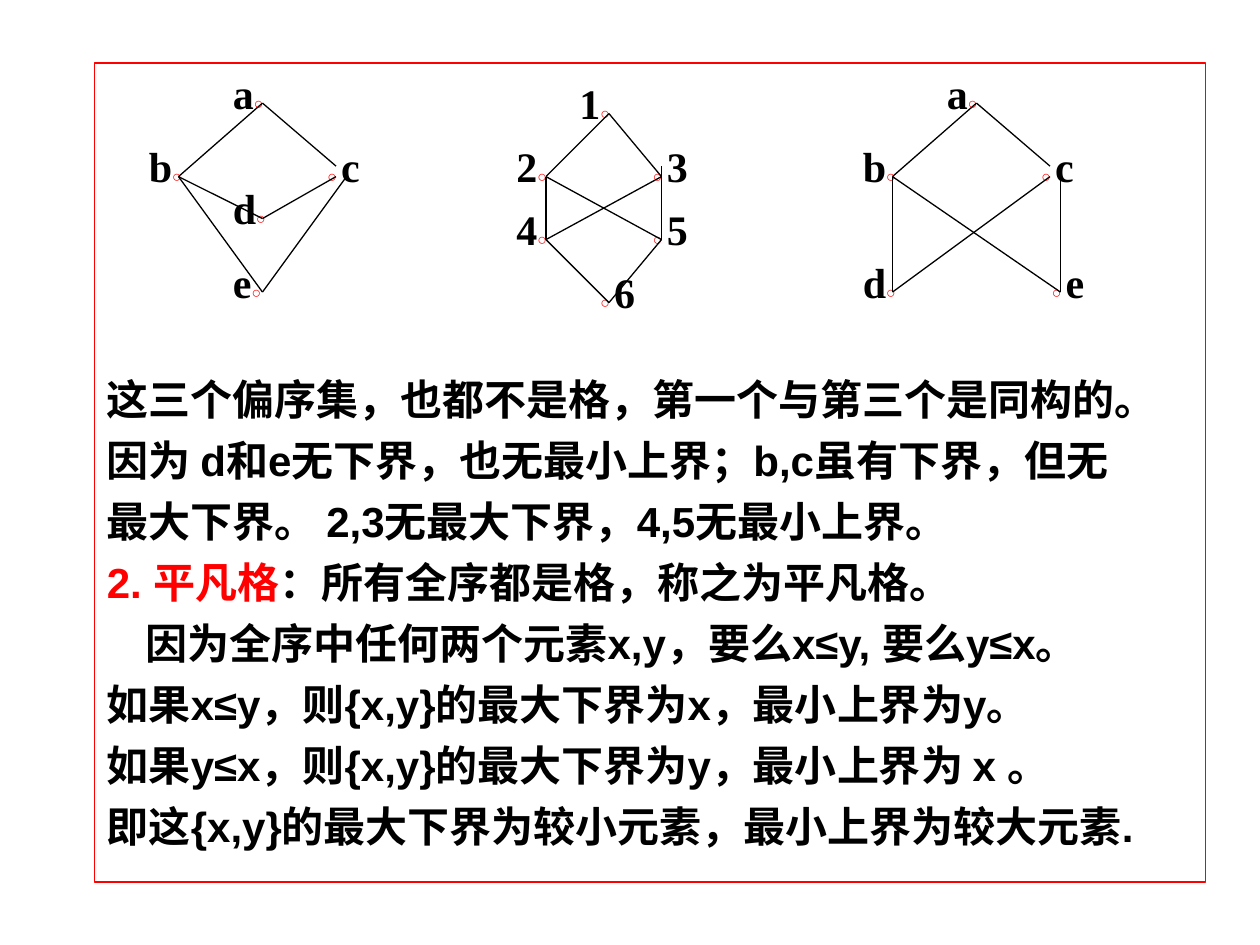
from dataclasses import dataclass
from lxml import etree
from pptx import Presentation
from pptx.dml.color import RGBColor
from pptx.enum.shapes import MSO_CONNECTOR, MSO_SHAPE
from pptx.enum.text import MSO_ANCHOR, MSO_AUTO_SIZE, PP_ALIGN
from pptx.oxml.ns import qn
from pptx.util import Inches, Pt

RECT = MSO_SHAPE.RECTANGLE
LINE = MSO_CONNECTOR.STRAIGHT
TOP = MSO_ANCHOR.TOP
LEFT = PP_ALIGN.LEFT
GROW = MSO_AUTO_SIZE.SHAPE_TO_FIT_TEXT


@dataclass(frozen=True)
class Theme:
    ink: RGBColor = RGBColor(0, 0, 0)
    red: RGBColor = RGBColor(255, 0, 0)
    sans: str = "Arial"
    serif: str = "Times New Roman"
    big: Pt = Pt(24)
    small: Pt = Pt(9)
    rule: Pt = Pt(0.75)
    gap: Pt = Pt(6)


def apply(item, values):
    for key, value in values.items():
        setattr(item, key, value)


def grid(*cells):
    return [Inches(cell / 12) for cell in cells]


class Board:
    def __init__(self, slide, theme):
        self.slide = slide
        self.theme = theme

    def words(self, para, text, color, size, face):
        run = para.add_run()
        run.text = text
        apply(run.font, {"size": size, "name": face, "bold": True})
        run.font.color.rgb = color

    def panel(self, col, row, wide, high, inset, lines):
        look = self.theme
        box = self.slide.shapes.add_shape(RECT, *grid(col, row, wide, high))
        box.shadow.inherit = False
        box.fill.background()
        box.line.color.rgb = look.red
        box.line.width = look.rule
        frame = box.text_frame
        apply(frame, {"word_wrap": True, "vertical_anchor": TOP,
                      "margin_top": grid(inset)[0]})
        for i, (indent, parts) in enumerate(lines):
            para = frame.add_paragraph() if i else frame.paragraphs[0]
            apply(para, {"alignment": LEFT, "space_before": look.gap if i else Pt(0)})
            if indent:
                para._p.get_or_add_pPr().set("marL", str(grid(indent)[0]))
            for text, color in parts:
                self.words(para, text, color, look.big, look.sans)

    def label(self, group, name, col, row, side):
        look = self.theme
        shift = 4 if side == "left" else 2
        box = group.shapes.add_textbox(*grid(col - shift, row - 4, 6.5, 6))
        apply(box.text_frame, {"word_wrap": True, "auto_size": GROW})
        para = box.text_frame.paragraphs[0]
        word = (name, look.ink, look.big, look.serif)
        ring = ("○" if side == "left" else "○ ", look.red, look.small, look.sans)
        for part in (word, ring) if side == "left" else (ring, word):
            self.words(para, *part)

    def edge(self, group, start, end):
        line = group.shapes.add_connector(LINE, *grid(*start, *end))
        line.line.color.rgb = self.theme.ink
        line.line.width = self.theme.rule
        etree.SubElement(line._element.spPr, qn("a:effectLst"))

    def graph(self, left, nodes, edges, bends):
        group = self.slide.shapes.add_group_shape()
        spots = {}
        for name, (col, row, side) in nodes.items():
            spots[name] = (left + col, row - LIFT)
            self.label(group, name, *spots[name], side)
        for pair in edges.split():
            ends = [spots[name] for name in pair]
            for i, (across, down) in bends.get(pair, {}).items():
                ends[i] = (ends[i][0] + across, ends[i][1] + down)
            self.edge(group, *ends)


LIFT = 0.18
BENDS = {"ac": {1: (0, -1)}, "ce": {0: (1, 0)}}
GRAPHS = [
    (17,
     {"d": (8, 21, "left"), "a": (8, 10, "left"), "b": (0, 17, "left"),
      "c": (15, 17, "right"), "e": (8, 28, "left")},
     "ab bd ac cd ce be", BENDS),
    (52,
     {"1": (6, 11, "left"), "2": (0, 17, "left"), "3": (11, 17, "right"),
      "4": (0, 23, "left"), "5": (11, 23, "right"), "6": (6, 29, "right")},
     "12 13 35 24 46 56 34 25", {"35": {0: (0, -1)}}),
    (85,
     {"d": (0, 28, "left"), "a": (8, 10, "left"), "b": (0, 17, "left"),
      "c": (15, 17, "right"), "e": (16, 28, "right")},
     "ab bd ac cd ce be", BENDS),
]


def main():
    deck = Presentation()
    deck.slide_width, deck.slide_height = Inches(10), Inches(7.5)
    look = Theme()
    board = Board(deck.slides.add_slide(deck.slide_layouts[6]), look)
    ink = look.ink
    lines = [
        (0, [("这三个偏序集，也都不是格，第一个与第三个是同构的。", ink)]),
        (0, [("因为 d和e无下界，也无最小上界；b,c虽有下界，但无", ink)]),
        (0, [("最大下界。 2,3无最大下界，4,5无最小上界。", ink)]),
        (0, [("2. 平凡格", look.red), ("：所有全序都是格，称之为平凡格。", ink)]),
        (3.7, [("因为全序中任何两个元素x,y，要么x≤y, 要么y≤x。", ink)]),
        (0, [("如果x≤y，则{x,y}的最大下界为x，最小上界为y。", ink)]),
        (0, [("如果y≤x，则{x,y}的最大下界为y，最小上界为 x 。", ink)]),
        (0, [("即这{x,y}的最大下界为较小元素，最小上界为较大元素.", ink)]),
    ]
    board.panel(9, 6, 105.8, 78, 29.6, lines)
    for item in GRAPHS:
        board.graph(*item)
    deck.save("out.pptx")


if __name__ == "__main__":
    main()
